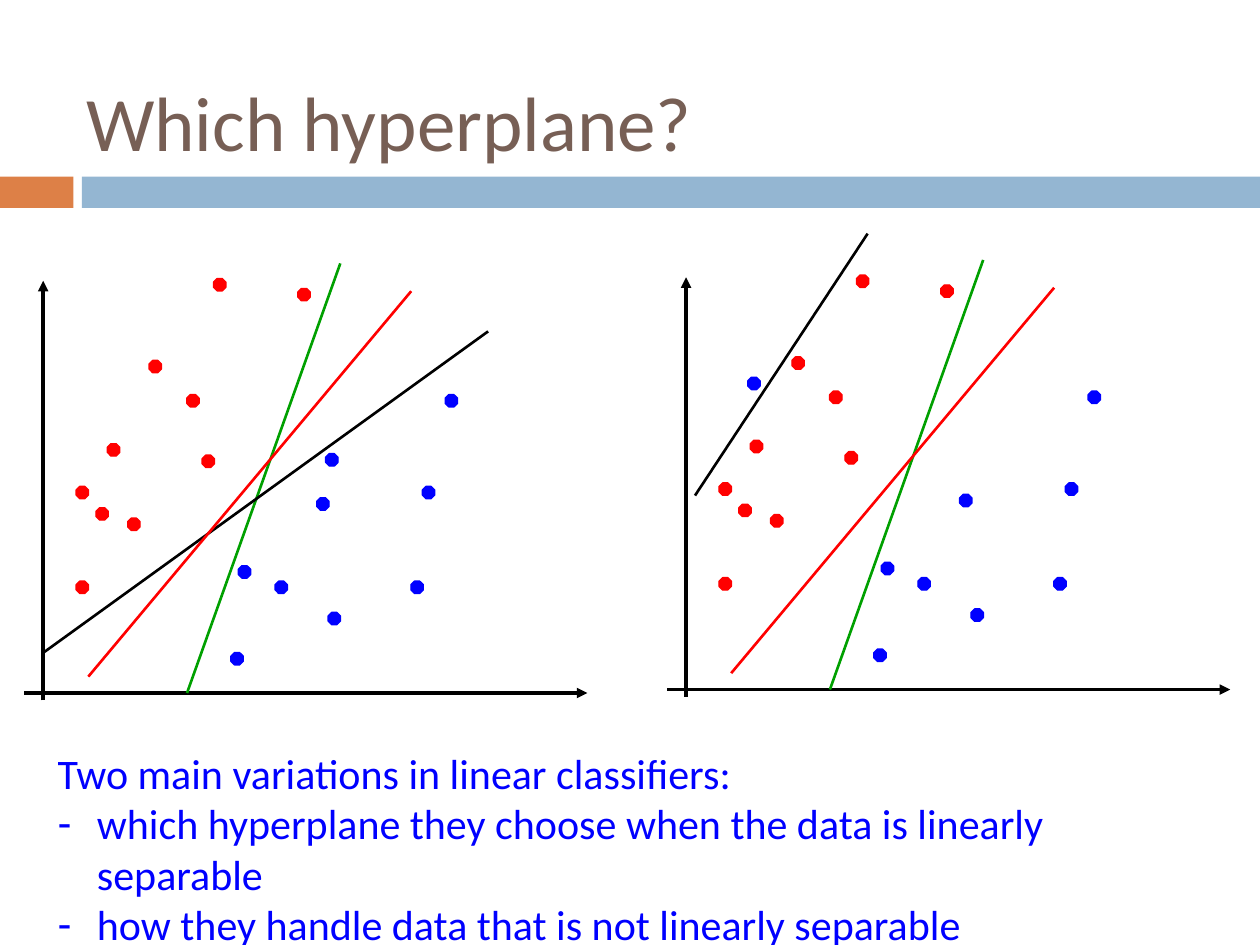
from pptx import Presentation
from pptx.dml.color import RGBColor as RGB
from pptx.enum.shapes import MSO_CONNECTOR as LINK, MSO_SHAPE as SHAPE
from pptx.enum.text import MSO_ANCHOR as ANCHOR, MSO_AUTO_SIZE as AUTO, PP_ALIGN as ALIGN
from pptx.oxml.ns import qn
from pptx.util import Cm, Pt
from lxml.etree import SubElement

THEME = {
    "font": "Calibri", "title": 44, "body": 24,
    "brown": "775F55", "orange": "DD8047", "sky": "94B6D2",
    "red": "FF0000", "blue": "0000FF", "green": "00A000", "black": "000000",
    "axis": 2, "line": 1.5, "edge": 0.75,
}

TITLE = "Which hyperplane?"
LEAD = "Two main variations in linear classifiers:"
ITEMS = [
    "which hyperplane they choose when the data is linearly separable",
    "how they handle data that is not linearly separable",
]
BARS = [("orange", 0, 1.48), ("sky", 1.65, 23.75)]

# Plot data: cm right of and above the crossing of the axes
AXES = [("black", (0, -0.15), (0, 8.31)), ("black", (-0.38, 0), (10.97, 0))]
REDS = [(3.02, 5.89), (1.42, 4.9), (1.83, 3.4), (0.79, 2.13), (2.26, 6.58),
        (0.79, 4.04), (1.19, 3.61), (3.33, 4.67), (3.56, 8.23), (5.26, 8.03)]
BLUES = [(4.8, 2.13), (7.54, 2.13), (3.91, 0.69), (5.64, 3.81),
         (4.06, 2.44), (5.87, 1.5), (7.77, 4.04), (8.23, 5.89)]
GREEN = ("green", (2.9, 0), (5.99, 8.66))
RED = ("red", (0.91, 0.33), (7.42, 8.1))
PLOTS = [
    {"origin": (0.87, 13.97), "extra": (5.82, 4.7),
     "black": ("black", (0, 0.81), (8.97, 7.29))},
    {"origin": (13.83, 13.9), "extra": (1.37, 6.17),
     "black": ("black", (0.18, 3.91), (3.66, 9.19))},
]
DOT = 0.25


def color(name):
    return RGB.from_string(THEME[name])


def place(shape, x, y, w, h):
    shape.left, shape.top, shape.width, shape.height = Cm(x), Cm(y), Cm(w), Cm(h)


def write(para, text, size, tint, dash=False):
    props = para._p.get_or_add_pPr()
    hang = Cm(0.79) if dash else 0
    props.set("marL", str(hang))
    props.set("indent", str(-hang))
    if dash:
        SubElement(props, qn("a:buChar"), char="-")
    else:
        SubElement(props, qn("a:buNone"))
    para.alignment = ALIGN.LEFT
    para.space_before = Pt(0)
    run = para.add_run()
    run.text = text
    font = run.font
    font.name, font.size = THEME["font"], Pt(THEME[size])
    font.color.rgb = color(tint)


def block(slide, kind, tint, x, y, w, h, edge=False):
    shape = slide.shapes.add_shape(kind, Cm(x), Cm(y), Cm(w), Cm(h))
    shape.shadow.inherit = False
    shape.fill.solid()
    shape.fill.fore_color.rgb = color(tint)
    if edge:
        shape.line.color.rgb = color(tint)
        shape.line.width = Pt(THEME["edge"])
    else:
        shape.line.fill.background()


def draw(slide, origin, line, size, arrow=False):
    tint, *ends = line
    (x1, y1), (x2, y2) = [(Cm(origin[0] + x), Cm(origin[1] - y)) for x, y in ends]
    link = slide.shapes.add_connector(LINK.STRAIGHT, x1, y1, x2, y2)
    link.line.color.rgb = color(tint)
    link.line.width = Pt(THEME[size])
    if arrow:
        SubElement(link.line._get_or_add_ln(), qn("a:tailEnd"), type="triangle")
    SubElement(link._element.spPr, qn("a:effectLst"))


def plot(slide, origin, extra, black):
    for axis in AXES:
        draw(slide, origin, axis, "axis", arrow=True)
    for tint, dots in (("red", REDS), ("blue", BLUES + [extra])):
        for x, y in dots:
            block(slide, SHAPE.OCTAGON, tint, origin[0] + x - DOT / 2,
                  origin[1] - y - DOT / 2, DOT, DOT, edge=True)
    for line in (GREEN, black, RED):
        draw(slide, origin, line, "line")


def main():
    deck = Presentation()
    deck.slide_width, deck.slide_height = Cm(25.4), Cm(19.05)
    slide = deck.slides.add_slide(deck.slide_layouts[1])
    title, body = slide.placeholders

    for tint, x, w in BARS:
        block(slide, SHAPE.RECTANGLE, tint, x, 3.56, w, 0.63)

    place(title, 1.48, 1.07, 22.43, 2.74)
    place(body, 0.91, 14.94, 23.88, 3.33)
    for shape, anchor in ((title, ANCHOR.MIDDLE), (body, ANCHOR.TOP)):
        frame = shape.text_frame
        frame.word_wrap, frame.auto_size = True, AUTO.NONE
        frame.vertical_anchor = anchor

    write(title.text_frame.paragraphs[0], TITLE, "title", "brown")
    write(body.text_frame.paragraphs[0], LEAD, "body", "blue")
    for item in ITEMS:
        write(body.text_frame.add_paragraph(), item, "body", "blue", dash=True)

    for data in PLOTS:
        plot(slide, **data)
    deck.save("out.pptx")


if __name__ == "__main__":
    main()
